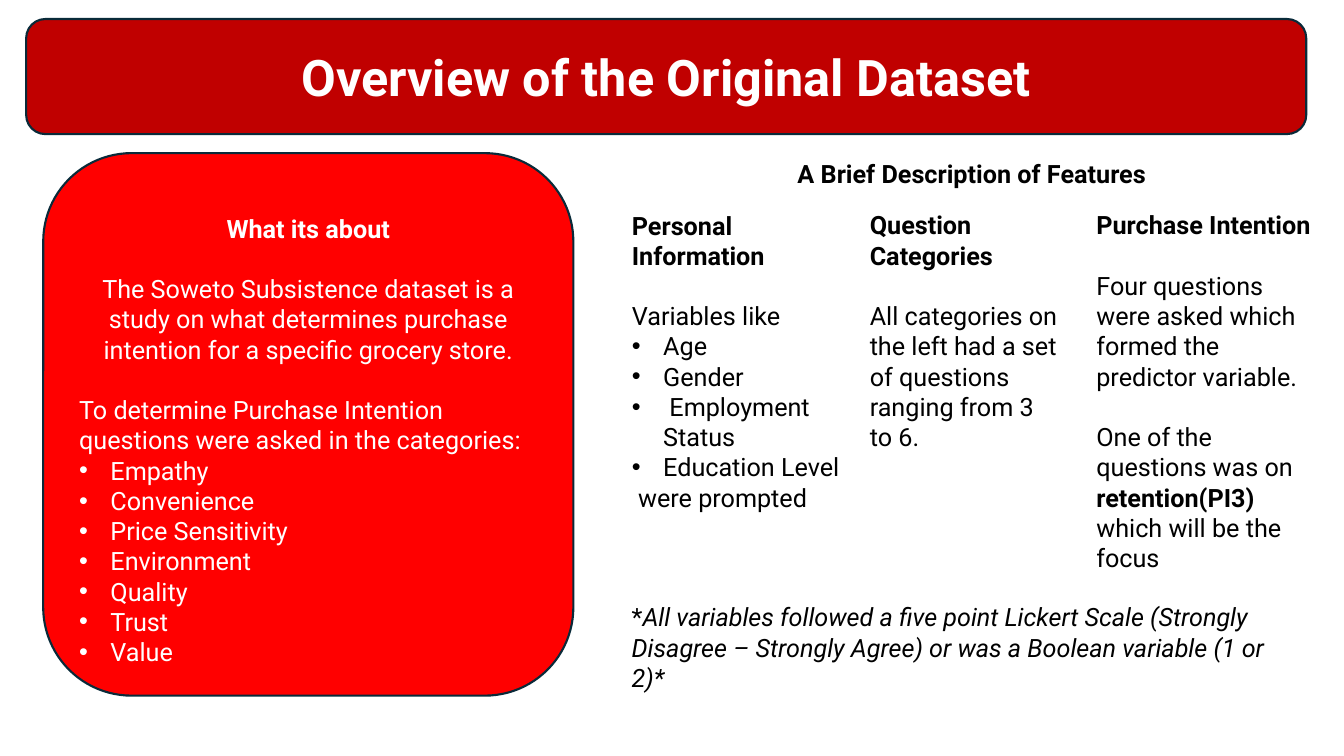
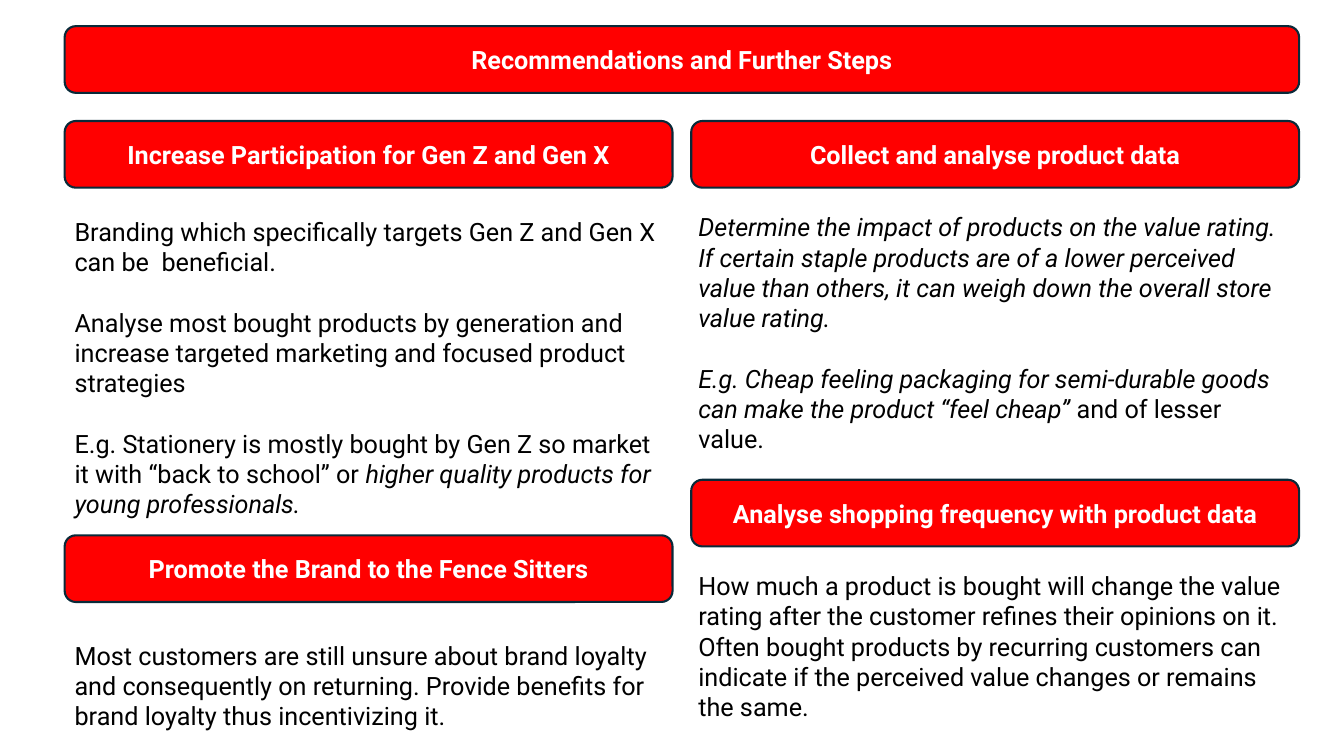
import dataclasses

import lxml.etree
import pptx
import pptx.dml.color
import pptx.enum.shapes
import pptx.enum.text
import pptx.oxml.ns
import pptx.util

Cm = pptx.util.Cm
Pt = pptx.util.Pt

COLOURS = {
    "banner": "C00000",
    "panel": "FF0000",
    "outline": "092A39",
    "light": "FFFFFF",
    "dark": "000000",
}


@dataclasses.dataclass
class Para:
    runs: list
    centred: bool = False
    bulleted: bool = False
    spaced: bool = False


def plain(text, **options):
    return Para([(text, "")], **options)


def bold(text, **options):
    return Para([(text, "b")], **options)


def bullets(*items):
    return [plain(item, bulleted=True) for item in items]


class Deck:
    font_name = "Roboto"
    body_size = 18
    blank_line = Pt(21.6)
    bullet_indent = Cm(0.79)

    def __init__(self):
        self.presentation = pptx.Presentation()
        self.presentation.slide_width = Cm(33.87)
        self.presentation.slide_height = Cm(19.05)
        self.slide = None

    def add_slide(self, layout_name):
        layout = self.presentation.slide_layouts.get_by_name(layout_name)
        self.slide = self.presentation.slides.add_slide(layout)

    def colour(self, name):
        return pptx.dml.color.RGBColor.from_string(COLOURS[name])

    def panel(self, box, fill="panel"):
        shape = self.slide.shapes.add_shape(
            pptx.enum.shapes.MSO_SHAPE.ROUNDED_RECTANGLE, *map(Cm, box))
        shape.shadow.inherit = False
        shape.fill.solid()
        shape.fill.fore_color.rgb = self.colour(fill)
        shape.line.color.rgb = self.colour("outline")
        shape.line.width = Pt(1.5)
        return shape

    def heading(self, text, box):
        self.fill_text(self.panel(box), [bold(text, centred=True)], "light", "MIDDLE")

    def title(self, text, box, fill="panel", size=body_size):
        panel = self.panel(box, fill)
        title = self.slide.shapes.title
        panel.element.addnext(title.element)
        self.place(title, box)
        self.fill_text(title, [bold(text, centred=True)], "light", "MIDDLE", size)

    def body(self, index, paragraphs, box, colour="dark"):
        placeholder = self.slide.placeholders[index]
        self.slide.shapes[-1].element.addnext(placeholder.element)
        self.place(placeholder, box)
        self.fill_text(placeholder, paragraphs, colour)

    def text(self, paragraphs, box):
        self.fill_text(self.slide.shapes.add_textbox(*map(Cm, box)), paragraphs)

    def place(self, shape, box):
        shape.left, shape.top, shape.width, shape.height = map(Cm, box)

    def fill_text(self, shape, paragraphs, colour="dark", anchor="TOP", size=body_size):
        frame = shape.text_frame
        frame.word_wrap = True
        frame.auto_size = pptx.enum.text.MSO_AUTO_SIZE.NONE
        frame.vertical_anchor = pptx.enum.text.MSO_ANCHOR[anchor]
        for index, content in enumerate(paragraphs):
            paragraph = frame.add_paragraph() if index else frame.paragraphs[0]
            self.format_paragraph(paragraph, content)
            for text, style in content.runs:
                run = paragraph.add_run()
                run.text = text
                run.font.name = self.font_name
                run.font.size = Pt(size)
                run.font.bold = "b" in style
                run.font.italic = "i" in style
                run.font.color.rgb = self.colour(colour)

    def format_paragraph(self, paragraph, content):
        qn = pptx.oxml.ns.qn
        properties = paragraph._p.get_or_add_pPr()
        indent = self.bullet_indent if content.bulleted else 0
        properties.set("marL", str(int(indent)))
        properties.set("indent", str(-int(indent)))
        if content.bulleted:
            lxml.etree.SubElement(properties, qn("a:buFont"), typeface="Arial")
            lxml.etree.SubElement(properties, qn("a:buChar"), char="•")
        else:
            lxml.etree.SubElement(properties, qn("a:buNone"))
        alignment = pptx.enum.text.PP_ALIGN
        paragraph.alignment = alignment.CENTER if content.centred else alignment.LEFT
        paragraph.space_before = self.blank_line if content.spaced else Pt(0)


def add_overview(deck):
    deck.add_slide("Two Content")
    deck.title("Overview of the Original Dataset", (0.66, 0.48, 32.26, 2.9), "banner", 36)

    deck.panel((1.09, 3.86, 13.36, 13.67))
    deck.body(1, [
        bold("What its about", centred=True),
        plain("The Soweto Subsistence dataset is a study on what determines purchase "
              "intention for a specific grocery store.", centred=True, spaced=True),
        plain("To determine Purchase Intention questions were asked in the categories:",
              spaced=True),
        *bullets("Empathy", "Convenience", "Price Sensitivity", "Environment",
                 "Quality", "Trust", "Value"),
    ], (1.74, 5.24, 12.06, 11.7), "light")

    deck.text([bold("A Brief Description of Features", centred=True)],
              (15.93, 3.86, 17.12, 1.03))
    features_top = 5.16
    deck.body(2, [
        bold("Personal Information"),
        plain("Variables like", spaced=True),
        *bullets("Age", "Gender", " Employment Status", "Education Level"),
        plain(" were prompted"),
    ], (15.67, features_top, 6, 7.95))
    deck.text([
        bold("Question Categories"),
        plain("All categories on the left had a set of questions ranging from 3 to 6.",
              spaced=True),
    ], (21.67, features_top, 5.23, 7.95))
    deck.text([
        bold("Purchase Intention"),
        plain("Four questions were asked which formed the predictor variable.", spaced=True),
        Para([("One of the questions was on ", ""), ("retention(PI3)", "b"),
              (" which will be the focus", "")], spaced=True),
    ], (27.38, features_top, 6, 9.5))
    deck.text([
        Para([("*", ""),
              ("All variables followed a five point Lickert Scale (Strongly Disagree – "
               "Strongly Agree) or was a Boolean variable (1 or 2)*", "i")]),
    ], (15.67, 15.04, 17.12, 2.6))


def add_recommendations(deck):
    left, right, column_width, heading_height = 1.63, 17.42, 15.32, 1.68
    right_text = 17.35
    deck.add_slide("Title Only")
    deck.title("Recommendations and Further Steps",
               (left, 0.66, right + column_width - left, heading_height))

    sections = [
        ("Increase Participation for Gen Z and Gen X", left, 3.05, left, 5.33, 7.95, [
            plain("Branding which specifically targets Gen Z and Gen X can be  beneficial."),
            plain("Analyse most bought products by generation and increase targeted "
                  "marketing and focused product strategies", spaced=True),
            Para([("E.g. Stationery is mostly bought by Gen Z so market it with "
                   "“back to school” or ", ""),
                  ("higher quality products for young professionals.", "i")], spaced=True),
        ]),
        ("Promote the Brand to the Fence Sitters", left, 13.49, left, 16, 2.57, [
            plain("Most customers are still unsure about brand loyalty and consequently on "
                  "returning. Provide benefits for brand loyalty thus incentivizing it."),
        ]),
        ("Collect and analyse product data", right, 3.05, right_text, 5.21, 6.4, [
            Para([("Determine the impact of products on the value rating. If certain staple "
                   "products are of a lower perceived value than others, it can weigh down "
                   "the overall store value rating.", "i")]),
            Para([("E.g. Cheap feeling packaging for semi-durable goods can make the "
                   "product “feel cheap” ", "i"), ("and of lesser value.", "")], spaced=True),
        ]),
        ("Analyse shopping frequency with product data", right, 12.09, right_text, 14.25, 4.11, [
            plain("How much a product is bought will change the value rating after the "
                  "customer refines their opinions on it. Often bought products by recurring "
                  "customers can indicate if the perceived value changes or remains the same."),
        ]),
    ]
    for heading, heading_left, heading_top, text_left, text_top, height, paragraphs in sections:
        deck.heading(heading, (heading_left, heading_top, column_width, heading_height))
        deck.text(paragraphs, (text_left, text_top, column_width, height))


def main():
    deck = Deck()
    add_overview(deck)
    add_recommendations(deck)
    deck.presentation.save("out.pptx")


if __name__ == "__main__":
    main()
